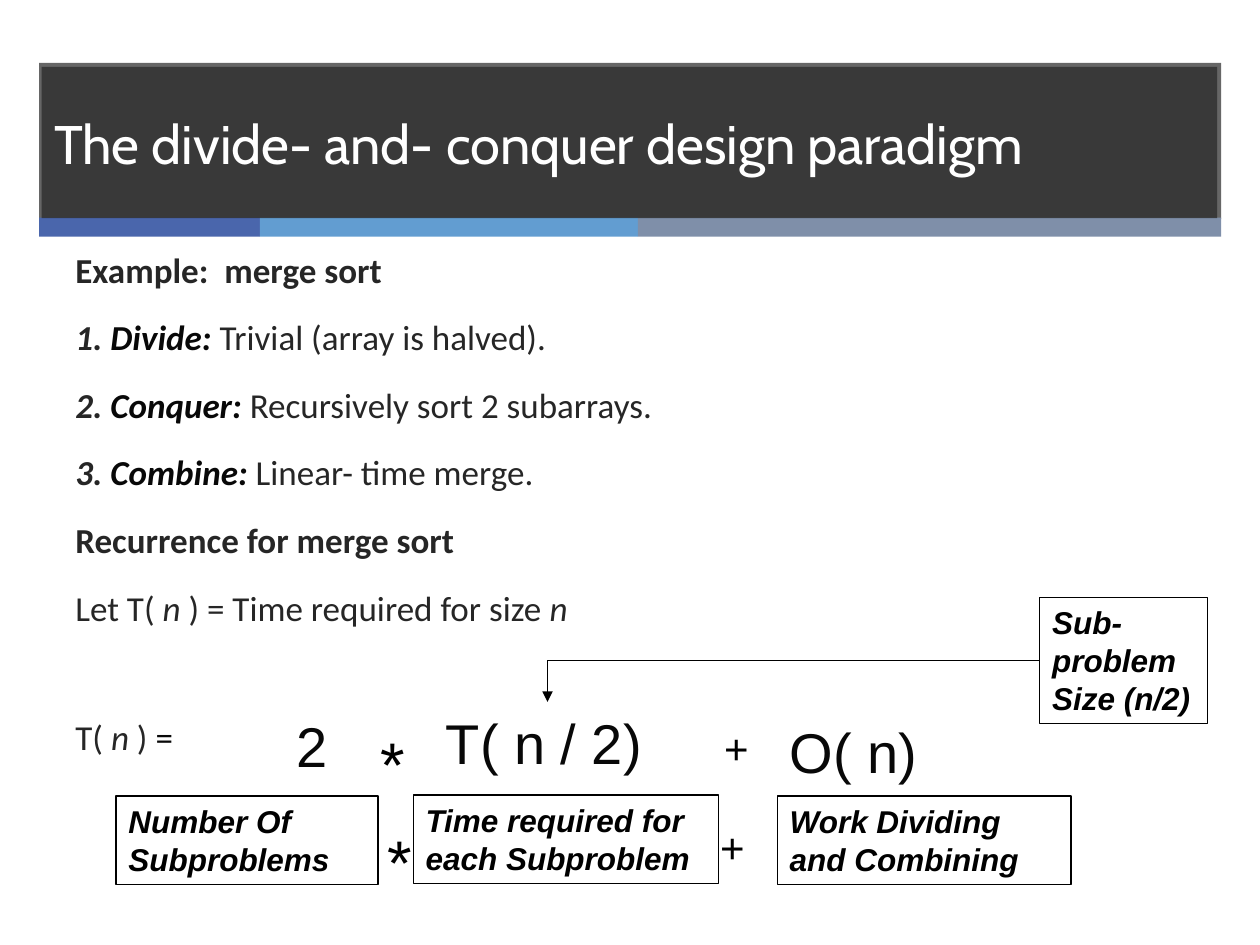
from dataclasses import dataclass

from lxml.etree import SubElement
from pptx import Presentation
from pptx.dml.color import RGBColor
from pptx.enum.shapes import MSO_CONNECTOR, MSO_SHAPE
from pptx.enum.text import MSO_ANCHOR, MSO_AUTO_SIZE, PP_ALIGN
from pptx.oxml.ns import qn
from pptx.util import Cm, Pt


@dataclass(frozen=True)
class Theme:
    dark: str = "262626"
    ink: str = "080808"
    black: str = "000000"
    white: str = "FFFFFF"
    stripes: tuple = ("4A66AC", "629DD1", "7F8FA9")
    title_font: str = "Cabin"
    body_font: str = "Calibri"
    formula_font: str = "Arial"
    title_size: int = 31
    body_size: int = 20
    term_size: int = 32
    times_size: int = 36
    plus_size: int = 24
    label_size: int = 18
    line_width: float = 0.75
    body_gap: float = 14.6
    formula_gap: int = 50


THEME = Theme()
TITLE = dict(name=THEME.title_font, size=THEME.title_size, color=THEME.white)
BODY = dict(name=THEME.body_font, size=THEME.body_size, color=THEME.dark)
BOLD = BODY | dict(bold=True)
ITALIC = BODY | dict(italic=True)
NUMBER = BOLD | dict(italic=True)
STEP = NUMBER | dict(color=THEME.ink)
TERM = dict(name=THEME.formula_font, size=THEME.term_size, color=THEME.ink)
TIMES = TERM | dict(size=THEME.times_size, color=THEME.black)
PLUS = TIMES | dict(size=THEME.plus_size)
LABEL = TIMES | dict(size=THEME.label_size, bold=True, italic=True)

BODY_LINES = [
    [("Example:  merge sort", BOLD)],
    [("1. ", NUMBER), ("Divide: ", STEP), ("Trivial (array is halved).", BODY)],
    [("2. ", NUMBER), ("Conquer: ", STEP), ("Recursively sort 2 subarrays.", BODY)],
    [("3. ", NUMBER), ("Combine: ", STEP), ("Linear- time merge.", BODY)],
    [("Recurrence for merge sort", BOLD)],
    [("Let T( ", BODY), ("n", ITALIC), (" ) = Time required for size ", BODY), ("n", ITALIC)],
    [("T( ", BODY), ("n", ITALIC), (" ) ", BODY), ("=", STEP | dict(bold=False, italic=False))],
]

# left, top, width, height in centimetres
FORMULA = {
    "two": ("2", TERM, (5.72, 14.22, 1.47, 1.63)),
    "times": ("*", TIMES, (7.42, 14.48, 1.47, 1.78)),
    "half": ("T( n / 2)", TERM, (8.74, 14.15, 4.6, 1.63)),
    "plus": ("+", PLUS, (14.35, 14.45, 1.47, 1.27)),
    "linear": ("O( n)", TERM, (15.67, 14.33, 3.18, 1.63)),
    "label times": ("*", TIMES, (7.57, 16.46, 1.47, 1.78)),
    "label plus": ("+", PLUS, (14.27, 16.43, 1.47, 1.27)),
}
LABELS = [
    ("Number Of Subproblems", (2.34, 16.05, 5.28, 1.78)),
    ("Time required for each Subproblem", (8.33, 16.03, 6.15, 1.78)),
    ("Work Dividing and Combining", (15.67, 16.05, 5.92, 1.78)),
]


def place(bounds):
    return [Cm(value) for value in bounds]


def write(box, lines, gap=0):
    """Fill a box with paragraphs, each a list of (text, format) spans."""
    frame = box.text_frame
    frame.word_wrap = True
    for index, line in enumerate(lines):
        para = frame.add_paragraph() if index else frame.paragraphs[0]
        para.alignment = PP_ALIGN.LEFT
        para.space_before = Pt(gap if index else 0)
        for text, style in line:
            span = para.add_run()
            span.text = text
            for key, value in style.items():
                if key == "color":
                    span.font.color.rgb = RGBColor.from_string(value)
                else:
                    setattr(span.font, key, Pt(value) if key == "size" else value)


def add_rectangle(page, bounds, fill=None, opacity=None, line=None):
    box = page.shapes.add_shape(MSO_SHAPE.RECTANGLE, *place(bounds))
    box.shadow.inherit = False
    if fill:
        box.fill.solid()
        box.fill.fore_color.rgb = RGBColor.from_string(fill)
    else:
        box.fill.background()
    if opacity:
        color = box.fill._xPr.find(qn("a:solidFill"))[0]
        SubElement(color, qn("a:alpha"), val=str(opacity * 1000))
    if line:
        box.line.color.rgb = RGBColor.from_string(line)
        box.line.width = Pt(THEME.line_width)
    else:
        box.line.fill.background()
    return box


def add_text(page, bounds, lines, gap=0):
    box = page.shapes.add_textbox(*place(bounds))
    write(box, lines, gap)
    return box


def add_label(page, bounds, *texts):
    box = add_rectangle(page, bounds, line=THEME.black)
    box.text_frame.vertical_anchor = MSO_ANCHOR.TOP
    write(box, [[(text, LABEL)] for text in texts])
    return box


def add_header(page):
    left, stripe_top = 0.79, 4.39
    add_rectangle(page, (left, 1.27, 23.83, 3.15), THEME.dark, 70)
    for color, width in zip(THEME.stripes, (4.45, 7.62, 11.76)):
        add_rectangle(page, (left, stripe_top, width, 0.38), color)
        left += width
    title = add_rectangle(page, (0.84, 1.35, 23.7, 3.05), THEME.dark, 70)
    title.text_frame.vertical_anchor = MSO_ANCHOR.MIDDLE
    write(title, [[("The divide- and- conquer design paradigm", TITLE)]])


def add_bent_arrow(page, source, target):
    """Run an arrow from the source's left side to the target's top, with one bend."""
    arrow = page.shapes.add_connector(MSO_CONNECTOR.ELBOW, 0, 0, 0, 0)
    arrow.begin_connect(source, 1)
    arrow.end_connect(target, 0)
    arrow.line.color.rgb = RGBColor.from_string(THEME.black)
    arrow.line.width = Pt(THEME.line_width)
    properties = arrow._element.spPr
    properties.find(qn("a:prstGeom")).set("prst", "bentConnector2")
    SubElement(properties.find(qn("a:ln")), qn("a:tailEnd"), type="triangle")
    SubElement(properties, qn("a:effectLst"))


def main():
    deck = Presentation()
    deck.slide_width, deck.slide_height = Cm(25.4), Cm(19.05)
    page = deck.slides.add_slide(deck.slide_layouts[6])

    add_header(page)
    body = add_text(page, (1.27, 4.88, 23.29, 13.13), BODY_LINES, THEME.body_gap)
    body.text_frame.paragraphs[-1].space_before = Pt(THEME.formula_gap)

    formula = {}
    for name, (text, style, bounds) in FORMULA.items():
        formula[name] = add_text(page, bounds, [[(text, style)]])
        formula[name].text_frame.auto_size = MSO_AUTO_SIZE.SHAPE_TO_FIT_TEXT
    for text, bounds in LABELS:
        add_label(page, bounds, text)
    size_label = add_label(page, (20.96, 12.04, 3.38, 2.54), "Sub-problem", "Size (n/2)")
    add_bent_arrow(page, size_label, formula["half"])

    deck.save("out.pptx")


if __name__ == "__main__":
    main()
